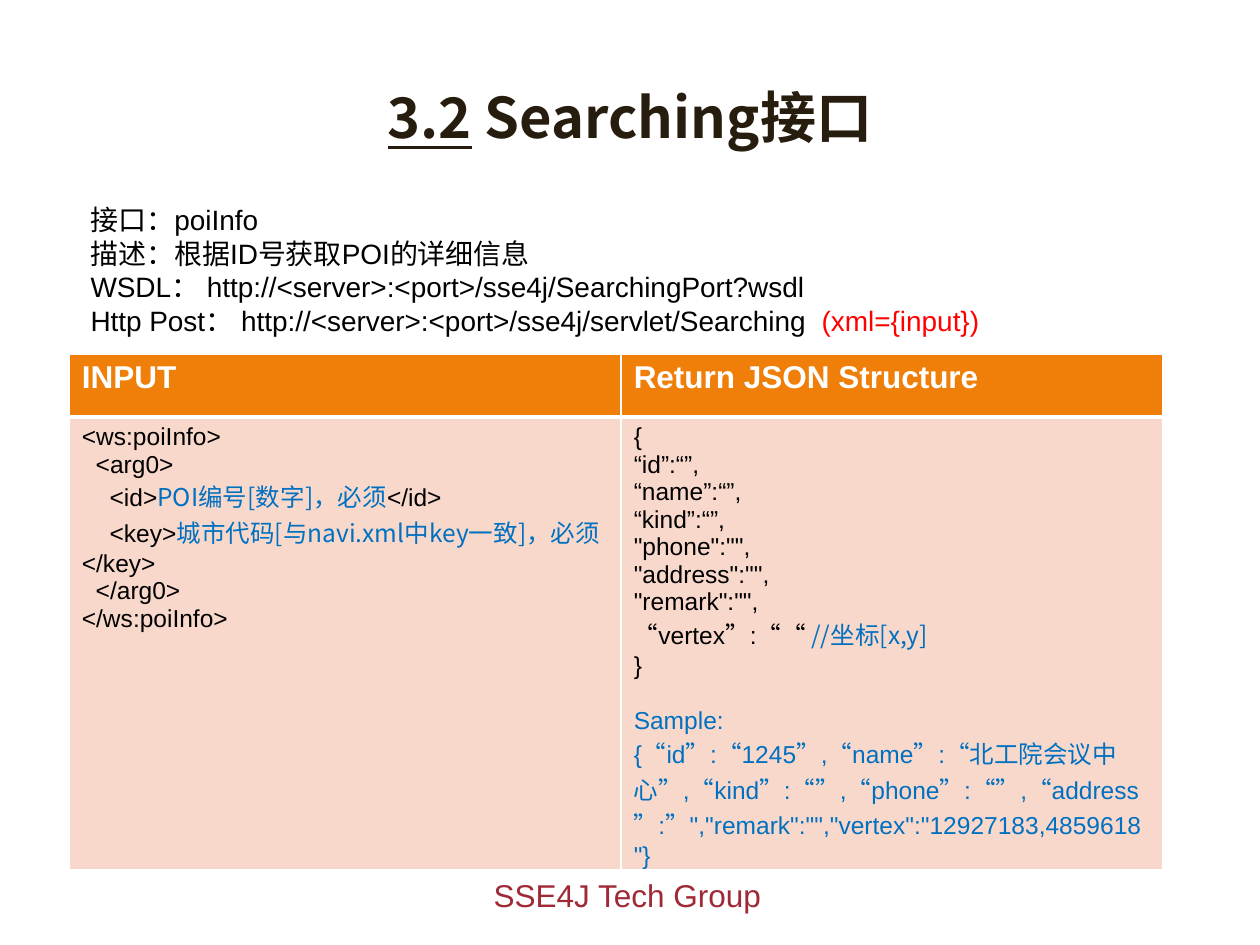
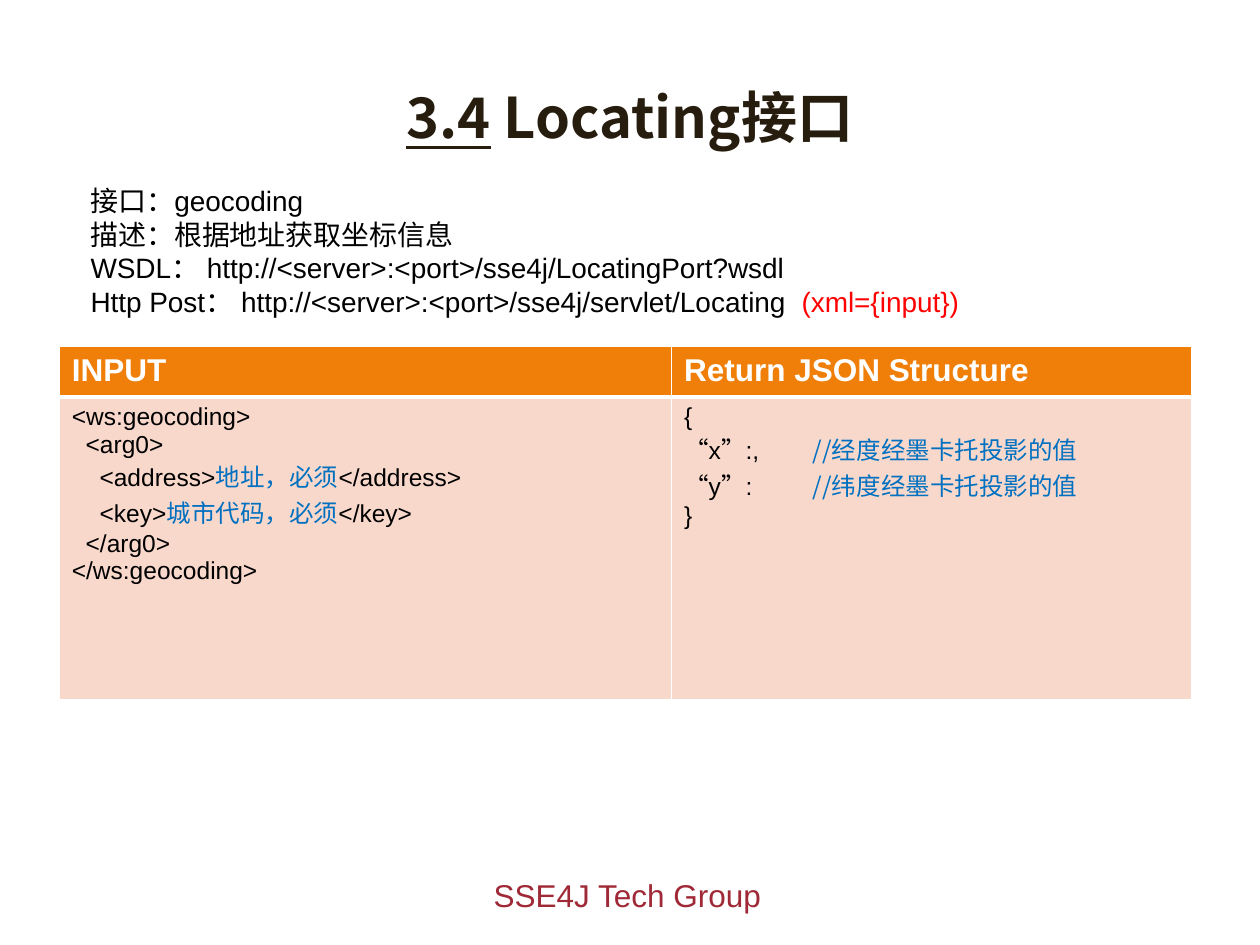
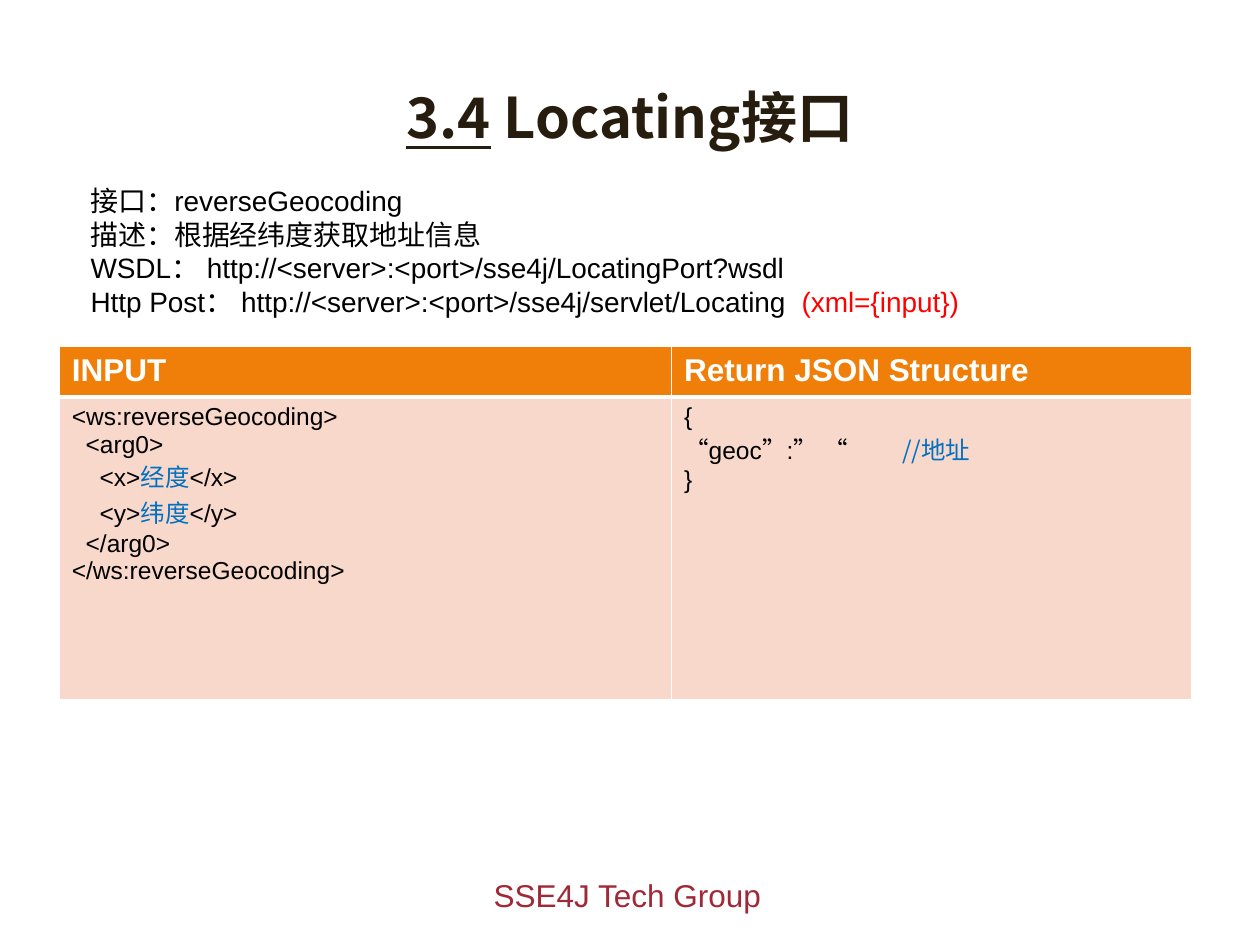
from dataclasses import dataclass

from lxml import etree
from pptx import Presentation
from pptx.dml.color import RGBColor
from pptx.enum.text import MSO_ANCHOR, MSO_AUTO_SIZE, PP_ALIGN
from pptx.oxml.ns import qn
from pptx.util import Inches, Pt

MIDDLE = MSO_ANCHOR.MIDDLE
CENTER = PP_ALIGN.CENTER
LEFT = PP_ALIGN.LEFT
FIT_SHAPE = MSO_AUTO_SIZE.SHAPE_TO_FIT_TEXT
BLANK_LAYOUT = 6


@dataclass(frozen=True)
class Theme:
    latin: str = "Arial"
    cjk: str = "Noto Sans CJK SC"
    title_color: str = "271D0F"
    footer_color: str = "9F2936"
    header_fill: str = "F07F09"
    body_fill: str = "F9D8CC"
    white: str = "FFFFFF"
    black: str = "000000"
    blue: str = "0070C0"
    red: str = "FF0000"
    title_size: int = 32
    heading_size: int = 18
    summary_size: int = 16
    code_size: int = 14
    thin_border: float = 1
    thick_border: float = 3


THEME = Theme()


@dataclass(frozen=True)
class Span:
    text: str
    color: str = ""
    font: str = ""


@dataclass(frozen=True)
class Line:
    spans: tuple
    level: int = 0
    tab: float = 0
    space_before: float = 0
    color: str = THEME.black


def code(*spans, **options):
    return Line(tuple(Span(s) if isinstance(s, str) else s for s in spans), **options)


def value(text):
    return Span(text, THEME.blue)


def note(text):
    return Span(text, THEME.blue, THEME.cjk)


def style(paragraph, size, color, latin=THEME.latin, cjk=THEME.cjk, bold=False):
    font = paragraph.font
    font.size = Pt(size)
    font.bold = bold
    font.name = latin
    font.color.rgb = RGBColor.from_string(color)
    defaults = paragraph._p.pPr.find(qn("a:defRPr"))
    etree.SubElement(defaults, qn("a:ea"), typeface=cjk)


def set_tab(paragraph, position):
    properties = paragraph._p.get_or_add_pPr()
    stops = etree.Element(qn("a:tabLst"))
    etree.SubElement(stops, qn("a:tab"), pos=str(Inches(position)), algn="l")
    properties.find(qn("a:defRPr")).addprevious(stops)


def write_lines(frame, lines, size, cjk=THEME.cjk, bold=False):
    for index, line in enumerate(lines):
        paragraph = frame.add_paragraph() if index else frame.paragraphs[0]
        paragraph.alignment = LEFT
        style(paragraph, size, line.color, cjk=cjk, bold=bold)
        if line.level:
            paragraph._p.pPr.set("indent", str(Inches(0.11 * line.level)))
        if line.space_before:
            paragraph.space_before = Pt(line.space_before)
        if line.tab:
            set_tab(paragraph, line.tab)
        for span in line.spans:
            run = paragraph.add_run()
            run.text = span.text
            if span.color:
                run.font.color.rgb = RGBColor.from_string(span.color)
            if span.font:
                run.font.name = span.font


def add_text_frame(slide, box):
    frame = slide.shapes.add_textbox(*map(Inches, box)).text_frame
    frame.word_wrap = True
    return frame


def add_title(slide, box, number, name):
    frame = add_text_frame(slide, box)
    frame.vertical_anchor = MIDDLE
    heading = frame.paragraphs[0]
    heading.alignment = CENTER
    style(heading, THEME.title_size, THEME.title_color, latin=THEME.cjk, bold=True)
    section = heading.add_run()
    section.text = number
    section.font.underline = True
    heading.add_run().text = f" {name}接口"


def add_footer(slide, box):
    frame = add_text_frame(slide, box)
    frame.word_wrap = False
    frame.auto_size = FIT_SHAPE
    write_lines(frame, [code("SSE4J Tech Group", color=THEME.footer_color)],
                THEME.heading_size)


def add_summary(slide, box, service, method, description):
    frame = add_text_frame(slide, box)
    frame.auto_size = FIT_SHAPE
    server = "http://<server>:<port>/sse4j"
    lines = [
        code(f"接口：{method}"),
        code(f"描述：{description}"),
        code(f"WSDL： {server}/{service}Port?wsdl"),
        code(f"Http Post： {server}/servlet/{service}  ",
             Span("(xml={input})", THEME.red)),
    ]
    write_lines(frame, lines, THEME.summary_size, cjk=THEME.latin)


def fill_cell(cell, color, top, bottom):
    properties = cell._tc.get_or_add_tcPr()
    thin = THEME.thin_border
    for side, width in (("L", thin), ("R", thin), ("T", top), ("B", bottom)):
        border = etree.SubElement(properties, qn(f"a:ln{side}"), w=str(Pt(width)))
        paint = etree.SubElement(border, qn("a:solidFill"))
        etree.SubElement(paint, qn("a:srgbClr"), val=THEME.white)
    cell.fill.solid()
    cell.fill.fore_color.rgb = RGBColor.from_string(color)


def add_exchange_table(slide, box, columns, rows, request, response):
    table = slide.shapes.add_table(2, 2, *map(Inches, box)).table
    for column, width in zip(table.columns, columns):
        column.width = Inches(width)
    for row, height in zip(table.rows, rows):
        row.height = Inches(height)
    thin, thick = THEME.thin_border, THEME.thick_border
    headings = ("INPUT", "Return JSON Structure")
    for index, (heading, lines) in enumerate(zip(headings, (request, response))):
        header, body = table.cell(0, index), table.cell(1, index)
        fill_cell(header, THEME.header_fill, thin, thick)
        write_lines(header.text_frame, [code(heading, color=THEME.white)],
                    THEME.heading_size, bold=True)
        fill_cell(body, THEME.body_fill, thick, thin)
        write_lines(body.text_frame, lines, THEME.code_size)


def request_lines(method, arguments):
    fields = [code(f"<{tag}>", content, f"</{tag}>", level=2)
              for tag, content in arguments]
    return [code(f"<ws:{method}>"), code("<arg0>", level=1), *fields,
            code("</arg0>", level=1), code(f"</ws:{method}>")]


def response_lines(*fields):
    return [code("{"), *fields, code("}")]


@dataclass(frozen=True)
class TableLayout:
    summary_top: float
    box: tuple
    columns: tuple
    rows: tuple


SEARCHING_LAYOUT = TableLayout(1.56, (0.55, 2.81, 8.67, 3.87), (4.38, 4.3), (0.5, 2.4))
LOCATING_LAYOUT = TableLayout(1.41, (0.47, 2.75, 8.98, 2.8), (4.86, 4.13), (0.39, 2.4))


def add_interface_slide(deck, layout, number, service, method, description,
                        arguments, response):
    slide = deck.slides.add_slide(deck.slide_layouts[BLANK_LAYOUT])
    add_footer(slide, (3.82, 6.9, 2.35, 0.4))
    add_title(slide, (0.5, 0.3, 9, 1.25), number, service)
    add_exchange_table(slide, layout.box, layout.columns, layout.rows,
                       request_lines(method, arguments), response)
    add_summary(slide, (0.62, layout.summary_top, 8.52, 1.18),
                service, method, description)


POI_SAMPLE = (
    "{“id”:“1245”,“name”:“北工院会议中心”,“kind”:“”,“phone”:“”,"
    "“address”:”\",\"remark\":\"\",\"vertex\":\"12927183,4859618\"}"
)
POI_RESPONSE = [
    *response_lines(
        *(code(f"“{field}”:“”,") for field in ("id", "name", "kind")),
        *(code(f'"{field}":"",') for field in ("phone", "address", "remark")),
        code("“vertex”:““ ", note("//坐标[x,y]")),
    ),
    code("Sample:", color=THEME.blue, space_before=16),
    code(POI_SAMPLE, color=THEME.blue),
]

deck = Presentation()
deck.slide_width, deck.slide_height = Inches(10), Inches(7.5)

add_interface_slide(
    deck, SEARCHING_LAYOUT, "3.2", "Searching", "poiInfo",
    "根据ID号获取POI的详细信息",
    [("id", note("POI编号[数字]，必须")),
     ("key", note("城市代码[与navi.xml中key一致]，必须"))],
    POI_RESPONSE,
)
add_interface_slide(
    deck, LOCATING_LAYOUT, "3.4", "Locating", "geocoding",
    "根据地址获取坐标信息",
    [("address", value("地址，必须")), ("key", value("城市代码，必须"))],
    response_lines(
        code("“x”:,\t", note("//经度经墨卡托投影的值"), tab=1.02),
        code("“y”:\t", note("//纬度经墨卡托投影的值"), tab=1.02),
    ),
)
add_interface_slide(
    deck, LOCATING_LAYOUT, "3.4", "Locating", "reverseGeocoding",
    "根据经纬度获取地址信息",
    [("x", value("经度")), ("y", value("纬度"))],
    response_lines(code("“geoc”:” “\t", note("//地址"), tab=1.73)),
)

deck.save("out.pptx")
